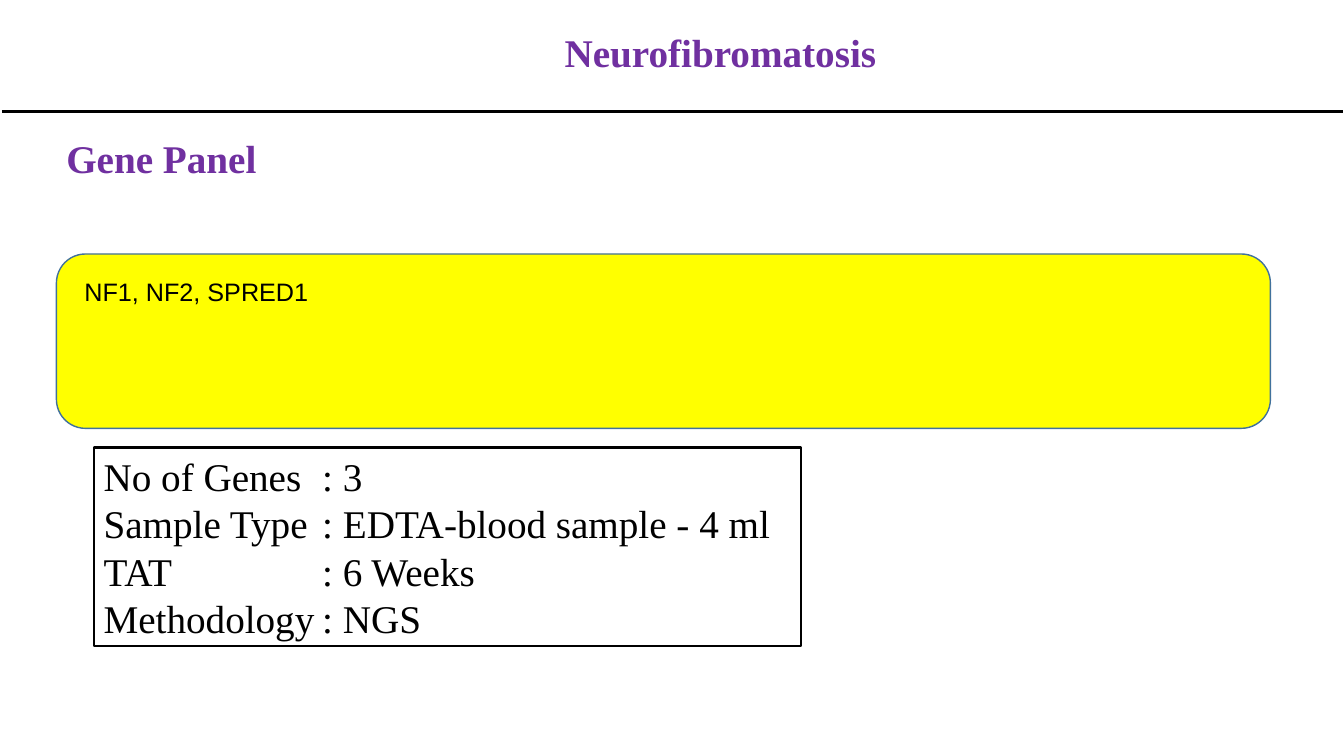
from lxml import etree
from pptx import Presentation
from pptx.dml.color import RGBColor
from pptx.enum.shapes import MSO_CONNECTOR, MSO_SHAPE
from pptx.enum.text import MSO_ANCHOR, PP_ALIGN
from pptx.oxml.ns import qn
from pptx.util import Inches, Pt

STRAIGHT = MSO_CONNECTOR.STRAIGHT
RECT, ROUNDED = MSO_SHAPE.RECTANGLE, MSO_SHAPE.ROUNDED_RECTANGLE
MIDDLE = MSO_ANCHOR.MIDDLE
CENTER, LEFT = PP_ALIGN.CENTER, PP_ALIGN.LEFT
SERIF, SANS = "Times New Roman", "Arial"
PURPLE, BLACK, YELLOW, BLUE = "7030A0", "000000", "FFFF00", "41719C"


def rgb(value):
    return RGBColor.from_string(value)


def write(p, text, font, size, color, bold=False, spacing=1.0, align=LEFT):
    p.alignment = align
    p.line_spacing = spacing
    r = p.add_run()
    r.text = text
    r.font.name = font
    r.font.size = Pt(size)
    r.font.bold = bold
    r.font.color.rgb = rgb(color)


prs = Presentation()
prs.slide_width = Inches(13.34)
prs.slide_height = Inches(7.5)
s = prs.slides.add_slide(prs.slide_layouts[5])

title = s.shapes.title
title.left, title.top = Inches(1.4), Inches(0)
title.width, title.height = Inches(11.5), Inches(1.09)
title.text_frame.vertical_anchor = MIDDLE
write(title.text_frame.paragraphs[0], "Neurofibromatosis", SERIF, 28, PURPLE,
      bold=True, spacing=0.9, align=CENTER)

rule = s.shapes.add_connector(STRAIGHT, Inches(0.02), Inches(1.11), Inches(13.33), Inches(1.11))
rule.line.color.rgb = rgb(BLACK)
rule.line.width = Pt(2.25)
etree.SubElement(rule._element.spPr, qn("a:effectLst"))

panel = s.shapes.add_shape(ROUNDED, Inches(0.56), Inches(2.52), Inches(12.05), Inches(1.73))
panel.shadow.inherit = False
panel.fill.solid()
panel.fill.fore_color.rgb = rgb(YELLOW)
panel.line.color.rgb = rgb(BLUE)
panel.line.width = Pt(1)

labels = [
    ("NF1, NF2, SPRED1", 0.74, 2.69, 11.5, 0.4, SANS, 18, BLACK, False),
    ("Gene Panel", 0.56, 1.28, 3.79, 0.57, SERIF, 28, PURPLE, True),
]
for text, x, y, w, h, font, size, color, bold in labels:
    sp = s.shapes.add_textbox(Inches(x), Inches(y), Inches(w), Inches(h))
    sp.text_frame.word_wrap = True
    write(sp.text_frame.paragraphs[0], text, font, size, color, bold)

details = s.shapes.add_shape(RECT, Inches(0.93), Inches(4.44), Inches(7.02), Inches(1.97))
details.shadow.inherit = False
details.fill.background()
details.line.color.rgb = rgb(BLACK)
details.line.width = Pt(1.5)
tf = details.text_frame
tf.word_wrap = True
tf.vertical_anchor = MIDDLE

facts = [
    ("No of Genes", "3"),
    ("Sample Type", "EDTA-blood sample - 4 ml"),
    ("TAT", "6 Weeks"),
    ("Methodology", "NGS"),
]
for i, (name, value) in enumerate(facts):
    p = tf.paragraphs[0] if i == 0 else tf.add_paragraph()
    tabs = etree.SubElement(p._p.get_or_add_pPr(), qn("a:tabLst"))
    etree.SubElement(tabs, qn("a:tab"), pos=str(Inches(2.17)), algn="l")
    write(p, f"{name}\t: {value}", SERIF, 28, BLACK)

prs.save("out.pptx")
